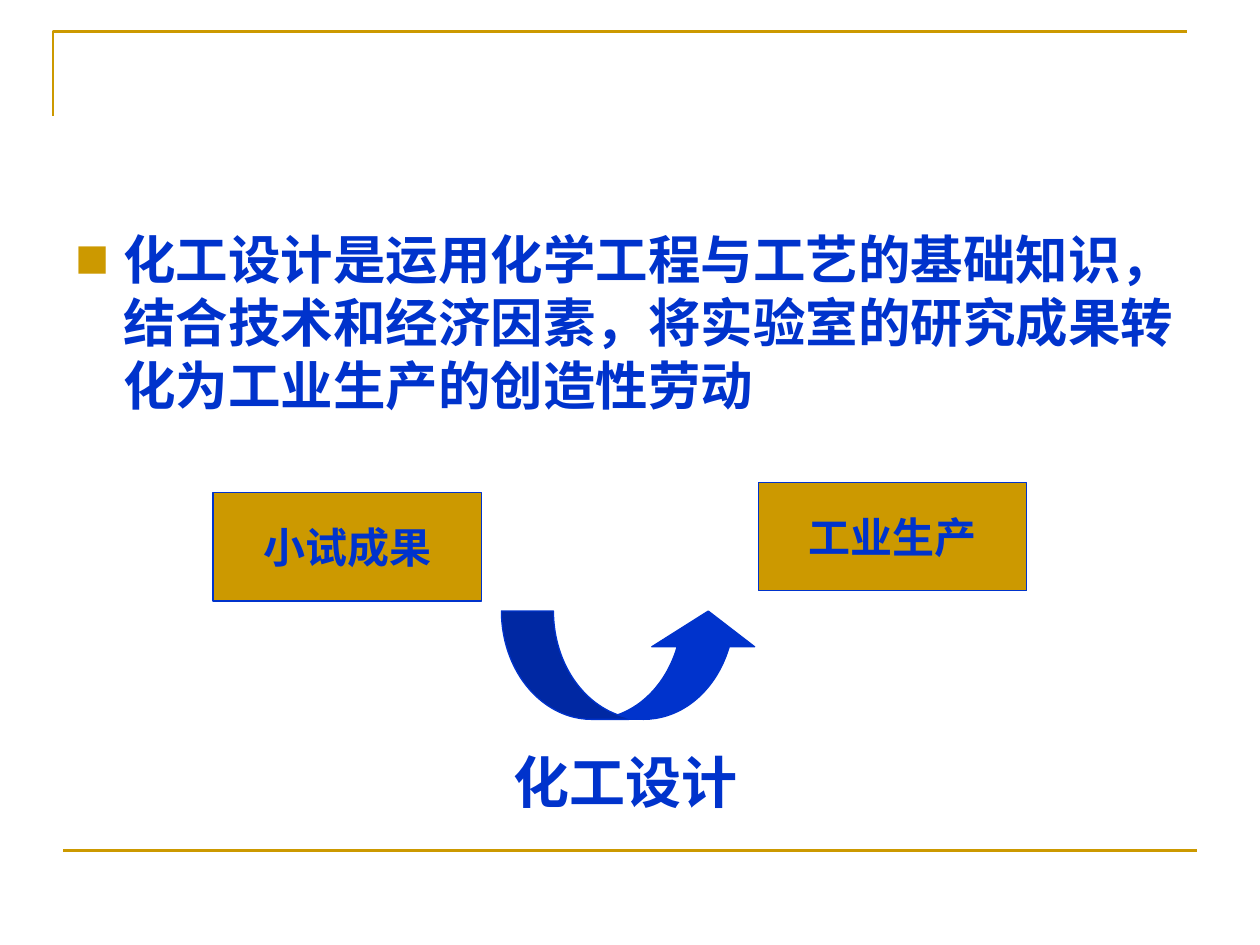
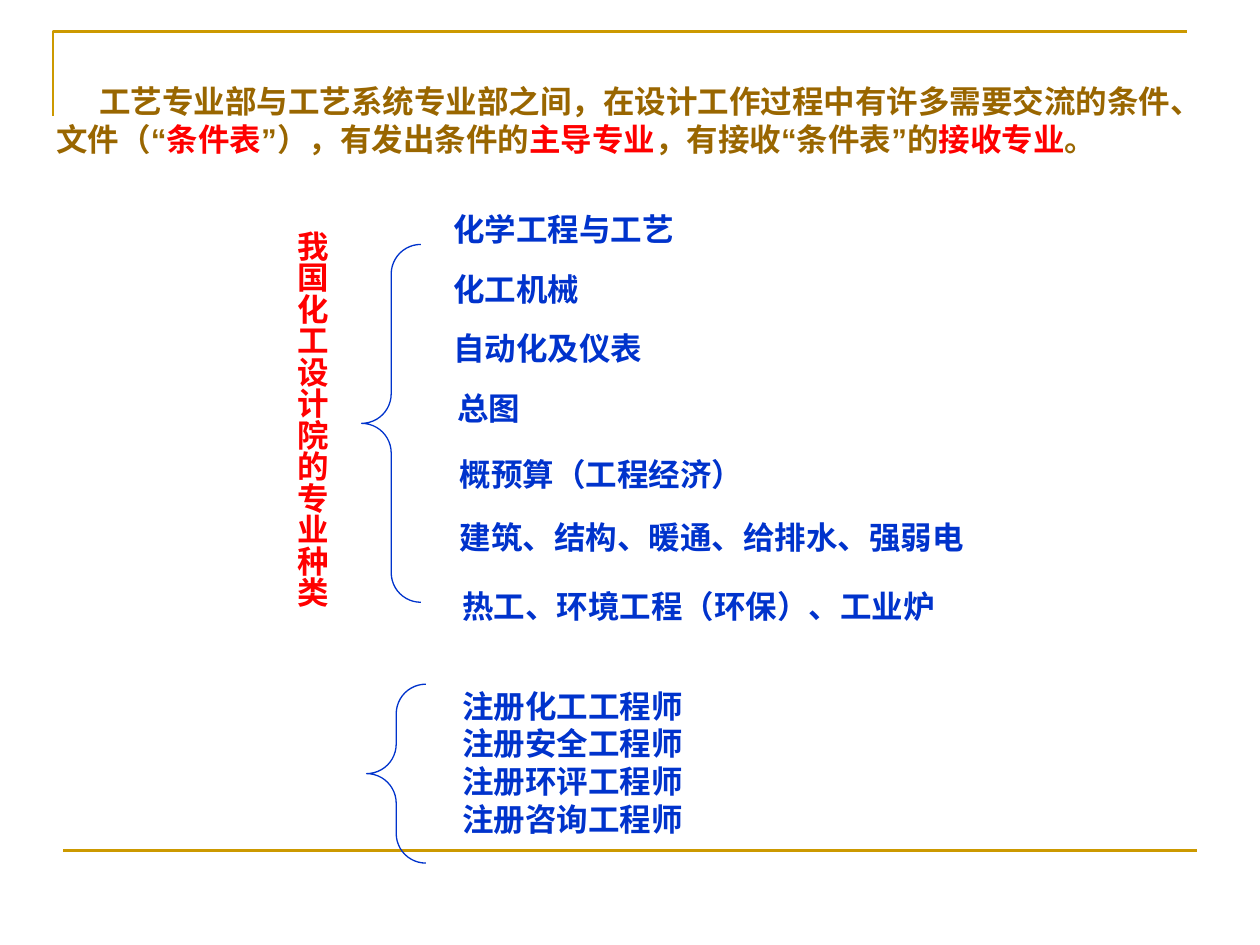
from dataclasses import dataclass

from lxml import etree
from pptx import Presentation
from pptx.dml.color import RGBColor
from pptx.enum.shapes import MSO_CONNECTOR, MSO_SHAPE
from pptx.enum.text import MSO_ANCHOR, MSO_AUTO_SIZE, PP_ALIGN
from pptx.oxml.ns import qn
from pptx.util import Inches, Pt


@dataclass(frozen=True)
class Theme:
    gold: str = "CC9900"
    brown: str = "996600"
    blue: str = "0033CC"
    red: str = "FF0000"
    cjk: str = "Noto Sans CJK SC"
    latin: str = "Arial"
    text: int = 18
    box: int = 24
    statement: int = 30
    caption: int = 32
    leading: float = 1.2
    frame_width: float = 1.5
    outline: float = 0.75


BODY_LAYOUT, BLANK_LAYOUT = 1, 6


def rgb(color):
    return RGBColor.from_string(color)


def add_child(parent, tag, **attributes):
    return etree.SubElement(parent, qn(tag), attributes)


def set_font(font, size, color, name):
    """Format Latin and East Asian text alike."""
    font.size, font.bold, font.name = Pt(size), True, name
    font.color.rgb = rgb(color)
    add_child(font._element, "a:ea", typeface=name)


class Deck:
    def __init__(self, theme):
        self.theme = theme
        self.presentation = Presentation()
        self.presentation.slide_width = Inches(10)
        self.presentation.slide_height = Inches(7.5)
        self.slide = None

    def new_slide(self, layout):
        self.slide = self.presentation.slides.add_slide(
            self.presentation.slide_layouts[layout])
        self.frame()

    def frame(self):
        """Draw the corner line at the top and the rule at the bottom."""
        builder = self.slide.shapes.build_freeform(Inches(0.42), Inches(0.92))
        builder.add_line_segments(
            [(Inches(0.42), Inches(0.25)), (Inches(9.42), Inches(0.25))], close=False)
        corner = builder.convert_to_shape()
        self.style(corner, None, self.theme.gold, self.theme.frame_width)
        rule = self.slide.shapes.add_connector(
            MSO_CONNECTOR.STRAIGHT, Inches(0.5), Inches(6.75), Inches(9.5), Inches(6.75))
        rule.line.color.rgb = rgb(self.theme.gold)
        rule.line.width = Pt(self.theme.frame_width)
        add_child(rule._element.spPr, "a:effectLst")

    def style(self, shape, fill, line, width):
        shape.shadow.inherit = False
        if fill:
            shape.fill.solid()
            shape.fill.fore_color.rgb = rgb(fill)
        else:
            shape.fill.background()
        shape.line.color.rgb = rgb(line)
        shape.line.width = Pt(width)

    def format(self, paragraph, size, color, name):
        paragraph.space_before = Pt(0)
        paragraph.line_spacing = Pt(size * self.theme.leading)
        set_font(paragraph.font, size, color, name)

    def shape(self, preset, left, top, width, height, fill=None, adjustments=()):
        shape = self.slide.shapes.add_shape(
            preset, Inches(left), Inches(top), Inches(width), Inches(height))
        for index, value in enumerate(adjustments):
            shape.adjustments[index] = value
        self.style(shape, fill, self.theme.blue, self.theme.outline)
        return shape

    def box(self, left, top, label):
        frame = self.shape(MSO_SHAPE.RECTANGLE, left, top, 2.13, 0.86,
                           self.theme.gold).text_frame
        frame.word_wrap = False
        frame.vertical_anchor = MSO_ANCHOR.MIDDLE
        paragraph = frame.paragraphs[0]
        paragraph.text = label
        paragraph.alignment = PP_ALIGN.CENTER
        self.format(paragraph, self.theme.box, self.theme.blue, self.theme.latin)

    def brace(self, left, top, height):
        self.shape(MSO_SHAPE.LEFT_BRACE, left, top, 0.47, height, adjustments=(0.5, 0.5))

    def text(self, left, top, width, height, lines, size=None, color=None, name=None):
        frame = self.slide.shapes.add_textbox(
            Inches(left), Inches(top), Inches(width), Inches(height)).text_frame
        frame.word_wrap = True
        frame.text = "\n".join(lines)
        for paragraph in frame.paragraphs:
            self.format(paragraph, size or self.theme.text, color or self.theme.blue,
                        name or self.theme.cjk)
        return frame

    def vertical_text(self, left, top, width, height, line, color):
        frame = self.text(left, top, width, height, [line], color=color)
        frame.margin_left = frame.margin_right = Inches(0.05)
        frame.margin_top = frame.margin_bottom = Inches(0.1)
        frame._txBody.bodyPr.set("vert", "eaVert")

    def rich_text(self, left, top, width, height, runs, indent):
        """Write one paragraph from (text, color, font) runs."""
        paragraph = self.text(left, top, width, height, [""]).paragraphs[0]
        paragraph._p.get_or_add_pPr().set("indent", str(Inches(indent)))
        for words, color, name in runs:
            run = paragraph.add_run()
            run.text = words
            set_font(run.font, self.theme.text, color, name)

    def statement(self, left, top, width, height, words):
        """Fill the body placeholder with one bulleted paragraph."""
        title = self.slide.shapes.title._element
        title.getparent().remove(title)
        body = self.slide.placeholders[1]
        body.left, body.top = Inches(left), Inches(top)
        body.width, body.height = Inches(width), Inches(height)
        body.text_frame.auto_size = MSO_AUTO_SIZE.NONE
        paragraph = body.text_frame.paragraphs[0]
        paragraph.text = words
        properties = paragraph._p.get_or_add_pPr()
        properties.set("marL", str(Inches(0.38)))
        properties.set("indent", str(-Inches(0.38)))
        add_child(add_child(properties, "a:buClr"), "a:srgbClr", val=self.theme.gold)
        add_child(properties, "a:buSzPct", val="65000")
        add_child(properties, "a:buFont", typeface=self.theme.cjk)
        add_child(properties, "a:buChar", char="■")
        self.format(paragraph, self.theme.statement, self.theme.blue, self.theme.cjk)


def definition_slide(deck):
    theme = deck.theme
    deck.new_slide(BODY_LAYOUT)
    deck.statement(0.5, 1.75, 9, 4.95,
                   "化工设计是运用化学工程与工艺的基础知识，结合技术和经济因素，"
                   "将实验室的研究成果转化为工业生产的创造性劳动")
    deck.shape(MSO_SHAPE.CURVED_UP_ARROW, 3.98, 4.85, 2.05, 0.86, theme.blue,
               (0.48, 0.95, 0.33))
    deck.box(6.02, 3.83, "工业生产")
    deck.box(1.69, 3.91, "小试成果")
    deck.text(3.98, 5.88, 2.13, 0.64, ["化工设计"], theme.caption, name=theme.latin)


def disciplines_slide(deck):
    theme = deck.theme
    plain, key = (theme.brown, theme.cjk), (theme.red, theme.cjk)
    quote = (theme.brown, theme.latin)
    deck.new_slide(BLANK_LAYOUT)
    deck.rich_text(0.35, 0.6, 9.37, 0.7, [
        ("工艺专业部与工艺系统专业部之间，在设计工作过程中有许多需要交流的条件、文件（", *plain),
        ("“", *quote), ("条件表", *key), ("”", *quote),
        ("），有发出条件的", *plain), ("主导专业", *key), ("，有接收", *plain),
        ("“", *quote), ("条件表", *plain), ("”", *quote),
        ("的", *plain), ("接收专业", *key), ("。", *plain),
    ], indent=0.34)
    deck.vertical_text(2.18, 1.73, 0.5, 3.23, "我国化工设计院的专业种类", theme.red)
    deck.brace(2.87, 1.94, 2.84)
    disciplines = [
        (3.5, 1.62, "化学工程与工艺"),
        (3.5, 2.09, "化工机械"),
        (3.5, 2.56, "自动化及仪表"),
        (3.53, 3.04, "总图"),
        (3.55, 3.56, "概预算（工程经济）"),
        (3.55, 4.06, "建筑、结构、暖通、给排水、强弱电"),
        (3.57, 4.61, "热工、环境工程（环保）、工业炉"),
    ]
    for left, top, discipline in disciplines:
        deck.text(left, top, 5.39, 0.4, [discipline])
    deck.text(3.57, 5.4, 5, 1.3,
              [f"注册{field}工程师" for field in ("化工", "安全", "环评", "咨询")])
    deck.brace(2.91, 5.43, 1.42)


def main():
    deck = Deck(Theme())
    definition_slide(deck)
    disciplines_slide(deck)
    deck.presentation.save("out.pptx")


if __name__ == "__main__":
    main()
